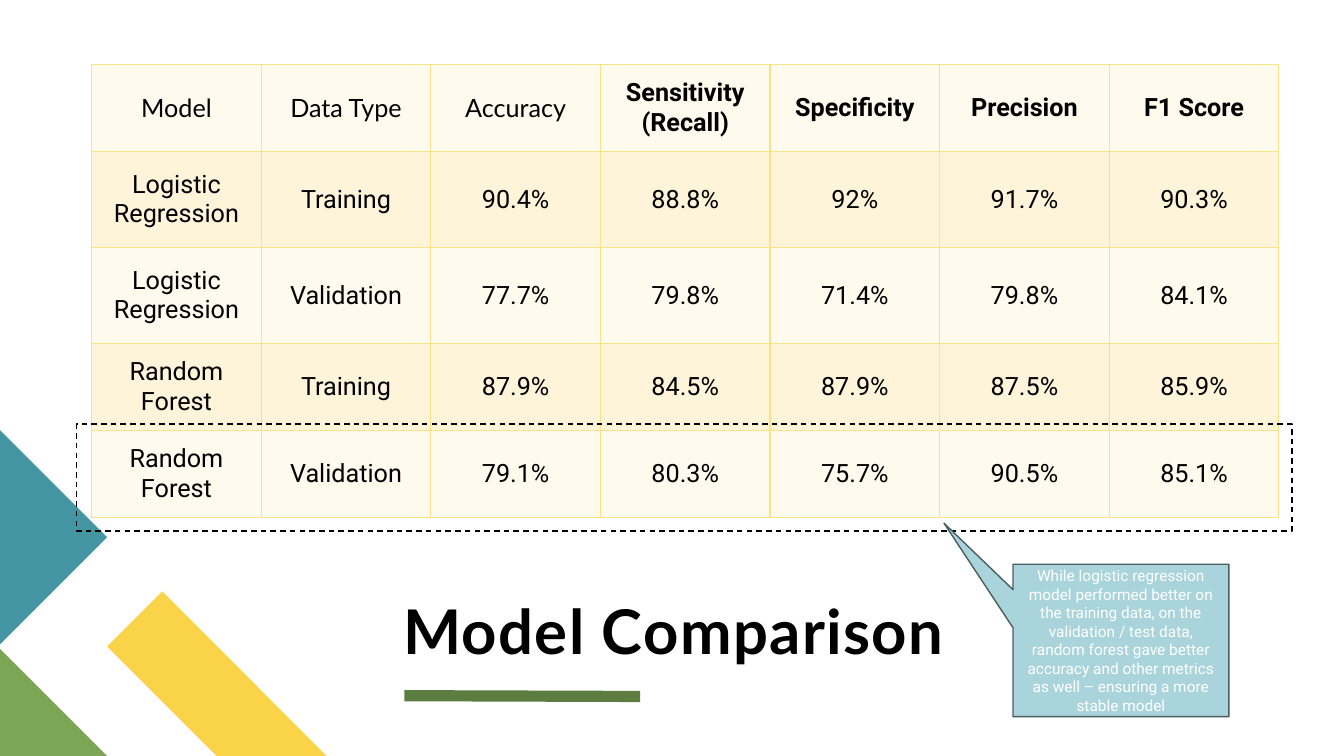
from dataclasses import dataclass

from lxml.etree import SubElement
from pptx import Presentation
from pptx.dml.color import RGBColor
from pptx.enum.dml import MSO_LINE as Dash
from pptx.enum.shapes import MSO_CONNECTOR as Link, MSO_SHAPE as Shape
from pptx.enum.text import MSO_ANCHOR as Anchor, PP_ALIGN as Align
from pptx.oxml.ns import qn
from pptx.util import Cm, Pt


@dataclass(frozen=True)
class Theme:
    head: str = "Lato"
    body: str = "Roboto"
    black: str = "000000"
    white: str = "FFFFFF"
    teal: str = "4495A2"
    green: str = "7CA655"
    yellow: str = "F9D448"
    rule: str = "5D7D40"
    pale: str = "FEFAED"
    cream: str = "FDF4D9"
    grid: str = "FBE284"
    note: str = "A9D4DB"
    edge: str = "4A5D60"
    title: float = 44
    cell: float = 18
    small: float = 11


def paint(fill, color):
    fill.solid()
    fill.fore_color.rgb = RGBColor.from_string(color)


def stroke(line, color, width=1):
    paint(line.fill, color)
    line.width = Pt(width)


def frame(cell, color):
    """Draw a 1 pt border on all four sides of a table cell."""
    props = cell._tc.get_or_add_tcPr()
    for i, side in enumerate(("lnL", "lnR", "lnT", "lnB")):
        line = props.makeelement(qn(f"a:{side}"), {"w": str(Pt(1))})
        solid = SubElement(line, qn("a:solidFill"))
        SubElement(solid, qn("a:srgbClr"), val=color)
        props.insert(i, line)


class Board:
    def __init__(self, slide, theme):
        self.slide = slide
        self.theme = theme

    def add_run(self, para, text, size, font, color, bold=False):
        run = para.add_run()
        run.text = text
        run.font.size = Pt(size)
        run.font.name = font
        run.font.bold = bold
        run.font.color.rgb = RGBColor.from_string(color)
        return run

    def patch(self, color, points):
        start, *rest = [(Cm(x), Cm(y)) for x, y in points]
        outline = self.slide.shapes.build_freeform(*start)
        outline.add_line_segments(rest, close=True)
        shape = outline.convert_to_shape()
        shape.shadow.inherit = False
        paint(shape.fill, color)
        shape.line.fill.background()

    def rule(self, color, width, *ends):
        line = self.slide.shapes.add_connector(Link.STRAIGHT, *map(Cm, ends))
        stroke(line.line, color, width)
        SubElement(line._element.spPr, qn("a:effectLst"))

    def title(self, text, *place):
        box = self.slide.shapes.add_textbox(*map(Cm, place)).text_frame
        box.word_wrap = True
        box.vertical_anchor = Anchor.BOTTOM
        box.margin_left = box.margin_right = box.margin_top = box.margin_bottom = 0
        para = box.paragraphs[0]
        para.line_spacing = 0.8
        look = self.theme
        run = self.add_run(para, text, look.title, look.head, look.black, True)
        run._r.get_or_add_rPr().set("spc", "100")

    def table(self, rows, left, top, width, heights):
        look = self.theme
        count = len(rows[0])
        place = map(Cm, (left, top, width, sum(heights)))
        table = self.slide.shapes.add_table(len(rows), count, *place).table
        for col in table.columns:
            col.width = Cm(width / count)
        for r, row in enumerate(rows):
            table.rows[r].height = Cm(heights[r])
            for c, text in enumerate(row):
                cell = table.cell(r, c)
                cell.vertical_anchor = Anchor.MIDDLE
                paint(cell.fill, look.cream if r % 2 else look.pale)
                frame(cell, look.grid)
                para = cell.text_frame.paragraphs[0]
                para.alignment = Align.CENTER
                font = look.head if r == 0 and c < 3 else look.body
                self.add_run(para, text, look.cell, font, look.black,
                             r == 0 and c >= 3)

    def shape(self, kind, line, *place):
        shape = self.slide.shapes.add_shape(kind, *map(Cm, place))
        shape.shadow.inherit = False
        stroke(shape.line, line)
        return shape

    def focus(self, *place):
        """Mark the winning row with a dashed outline."""
        shape = self.shape(Shape.RECTANGLE, self.theme.black, *place)
        shape.fill.background()
        shape.line.dash_style = Dash.DASH

    def note(self, text, tip, *place):
        look = self.theme
        shape = self.shape(Shape.RECTANGULAR_CALLOUT, look.edge, *place)
        paint(shape.fill, look.note)
        shape.adjustments[0], shape.adjustments[1] = tip
        box = shape.text_frame
        box.word_wrap = True
        box.vertical_anchor = Anchor.MIDDLE
        para = box.paragraphs[0]
        para.alignment = Align.CENTER
        self.add_run(para, text, look.small, look.body, look.white)


ROWS = [
    ("Model", "Data Type", "Accuracy", "Sensitivity (Recall)",
     "Specificity", "Precision", "F1 Score"),
    ("Logistic Regression", "Training",
     "90.4%", "88.8%", "92%", "91.7%", "90.3%"),
    ("Logistic Regression", "Validation",
     "77.7%", "79.8%", "71.4%", "79.8%", "84.1%"),
    ("Random Forest", "Training",
     "87.9%", "84.5%", "87.9%", "87.5%", "85.9%"),
    ("Random Forest", "Validation",
     "79.1%", "80.3%", "75.7%", "90.5%", "85.1%"),
]
NOTE = ("While logistic regression model performed better on the training "
        "data, on the validation / test data, random forest gave better "
        "accuracy and other metrics as well – ensuring a more stable model")


def main():
    deck = Presentation()
    deck.slide_width, deck.slide_height = Cm(33.87), Cm(19.05)
    look = Theme()
    board = Board(deck.slides.add_slide(deck.slide_layouts[6]), look)
    board.patch(look.yellow, [(8.23, 19.05), (5.46, 19.05),
                              (2.7, 16.29), (4.09, 14.9)])
    board.patch(look.green, [(2.7, 19.05), (0, 19.05), (0, 16.35)])
    board.patch(look.teal, [(0, 10.84), (2.7, 13.54), (0, 16.24)])
    board.rule(look.rule, 8, 10.19, 17.53, 16.13, 17.55)
    board.title("Model Comparison", 10.16, 12.95, 22.05, 3.84)
    board.table(ROWS, 2.31, 1.63, 29.92, (2.19, 2.42, 2.42, 2.19, 2.19))
    board.focus(1.93, 10.69, 30.63, 2.69)
    board.note(NOTE, (-0.82, -0.77), 25.53, 14.22, 5.44, 3.84)
    deck.save("out.pptx")


if __name__ == "__main__":
    main()
